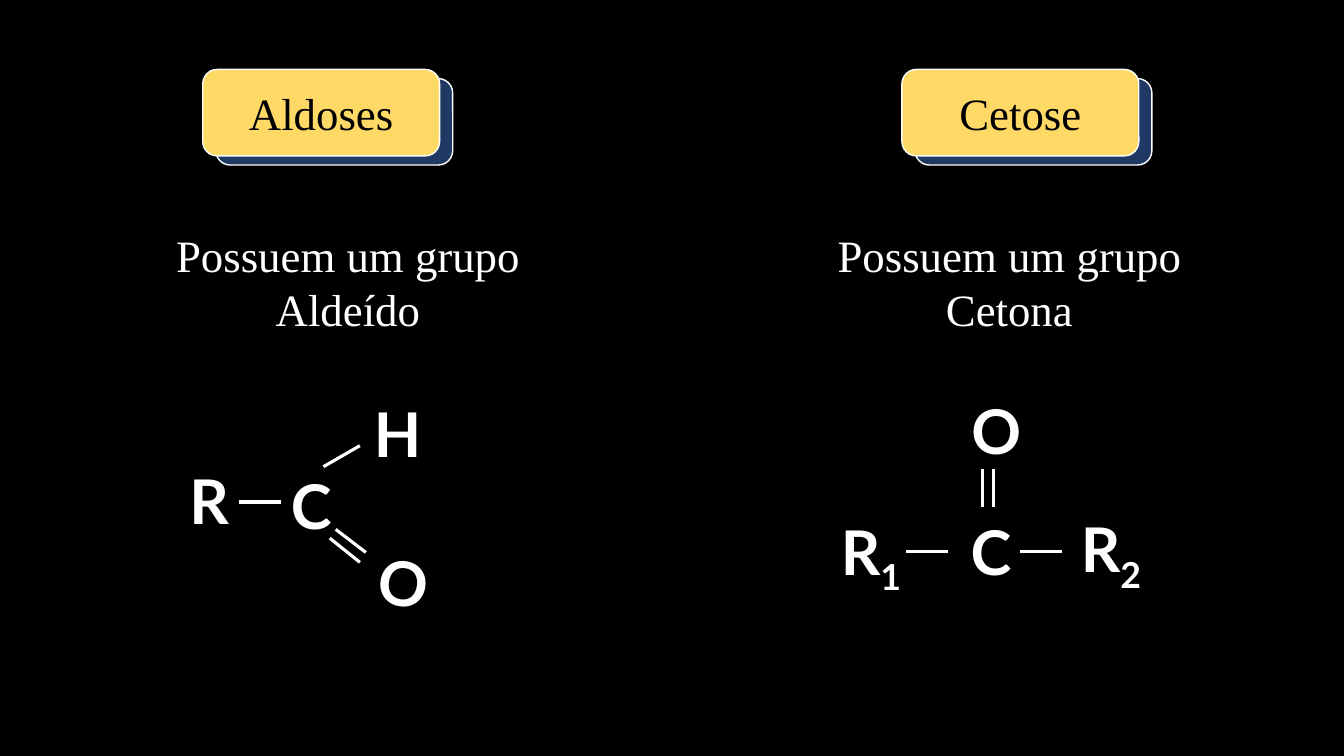
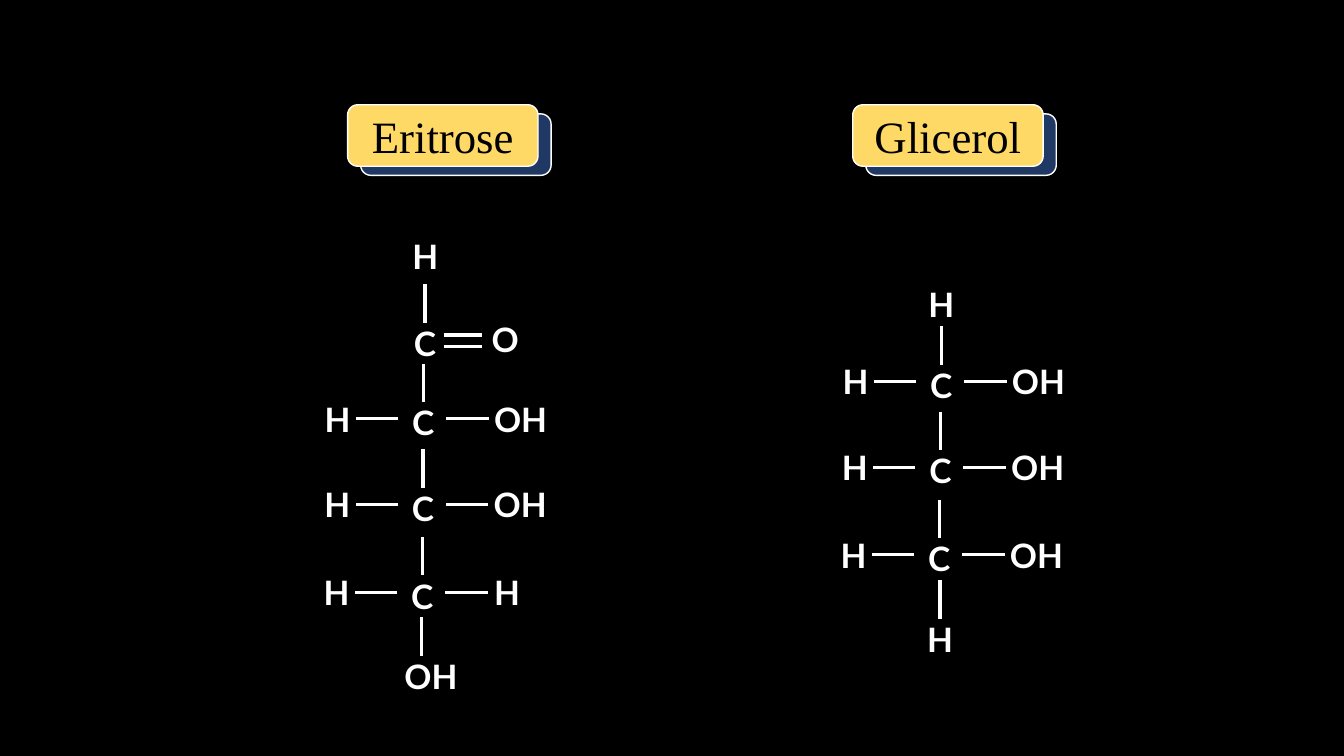
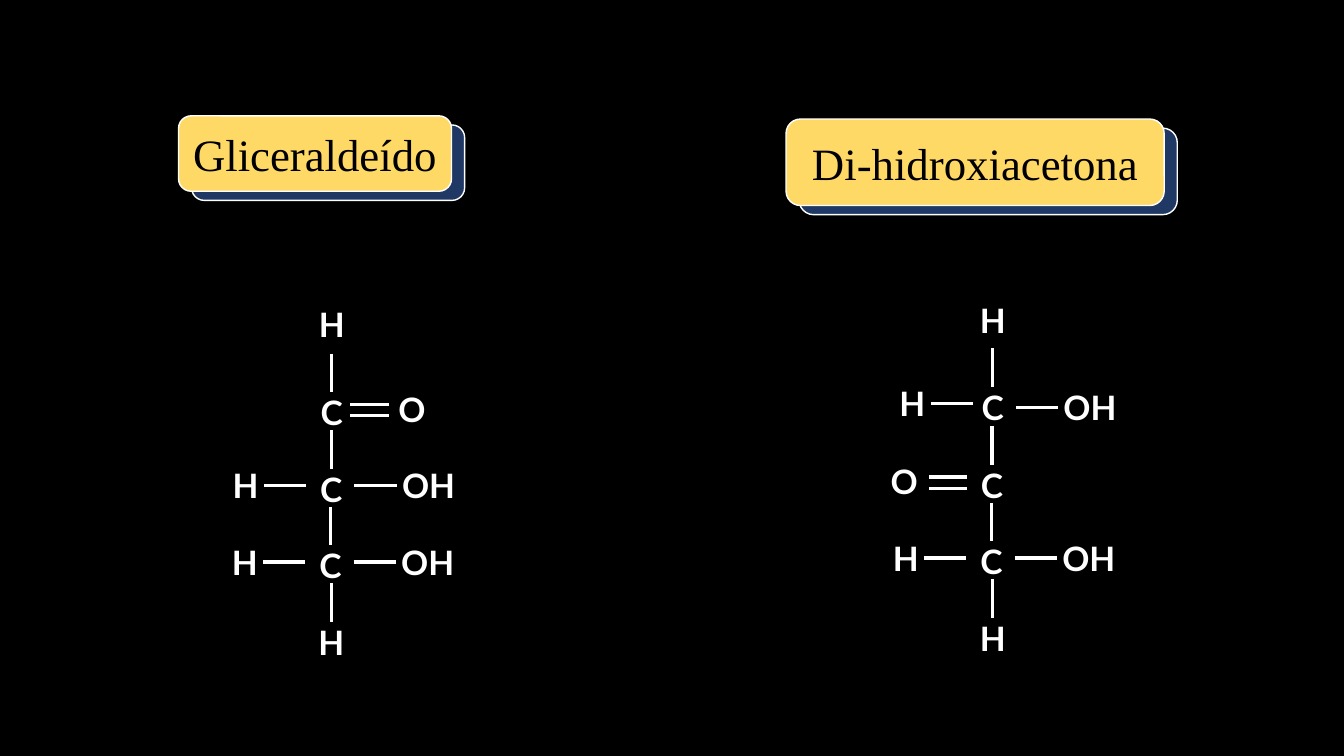
from dataclasses import dataclass

from lxml import etree
from pptx import Presentation
from pptx import util as u
from pptx.dml.color import RGBColor
from pptx.enum import shapes, text
from pptx.oxml.ns import qn

# Shared look
BLACK, WHITE, NAVY, YELLOW = "000000", "FFFFFF", "203864", "FFD966"
SERIF, SANS = "Times New Roman", "Lato"
HEADING_SIZE, LARGE, SMALL = 32, 44, 24
CARD_SHIFT = (0.33, 0.23)
COMPARISON_LAYOUT = 4
HEADING_SLOTS, DESCRIPTION_SLOTS = (0, 3), (2, 4)

# Structural formulas (cm, measured from the centre of the carbon)
BOND_LENGTH, BOND_GAP = 0.97, 0.51
ATOM_WIDTHS = {"C": 1.32, "O": 1.32, "H": 1.42, "OH": 1.9}
SIDE_LIFT = 0.09
OH_SHIFT = 0.24


@dataclass
class Card:
    label: str
    x: float
    y: float
    w: float
    h: float


@dataclass
class Atom:
    symbol: str
    x: float
    y: float
    w: float
    size: int = LARGE
    index: str = ""
    angle: float = 0


@dataclass
class Bond:
    x1: float
    y1: float
    x2: float
    y2: float


@dataclass
class Reach:
    near: float
    far: float
    atom: float


@dataclass
class Row:
    symbol: str
    x: float
    y: float
    left: str = ""
    right: str = ""
    left_shift: float = 0
    right_drop: float = 0


# Keys: side and number of strokes
REACHES = {
    ("left", 1): Reach(-0.64, -1.7, -2.16),
    ("left", 2): Reach(-0.64, -1.6, -2.21),
    ("right", 1): Reach(0.58, 1.65, 2.14),
    ("right", 2): Reach(0.47, 1.44, 2.02),
}
STROKE_OFFSETS = {1: (-SIDE_LIFT,), 2: (-0.2, 0.09)}


def color(value: str) -> RGBColor:
    return RGBColor.from_string(value)


def add_span(para, words: str, font: str, size: int, shade: str, bold: bool = False):
    span = para.add_run()
    span.text = words
    span.font.name, span.font.size, span.font.bold = font, u.Pt(size), bold
    span.font.color.rgb = color(shade)
    return span


def place(box, x: float, y: float, w: float, h: float) -> None:
    box.left, box.top, box.width, box.height = (u.Cm(v) for v in (x, y, w, h))


def fill_placeholder(box, words: str, shade: str, anchor) -> None:
    frame = box.text_frame
    frame.word_wrap = True
    frame.auto_size = text.MSO_AUTO_SIZE.NONE
    frame.vertical_anchor = anchor
    para = frame.paragraphs[0]
    props = para._p.get_or_add_pPr()
    props.set("marL", "0")
    props.set("indent", "0")
    etree.SubElement(props, qn("a:buNone"))
    para.alignment = text.PP_ALIGN.CENTER
    para.space_before = u.Pt(0)
    add_span(para, words, SERIF, HEADING_SIZE, shade)


def add_plate(page, x: float, y: float, w: float, h: float, shade: str):
    plate = page.shapes.add_shape(shapes.MSO_SHAPE.ROUNDED_RECTANGLE,
                                  u.Cm(x), u.Cm(y), u.Cm(w), u.Cm(h))
    plate.shadow.inherit = False
    plate.fill.solid()
    plate.fill.fore_color.rgb = color(shade)
    plate.line.color.rgb = color(WHITE)
    plate.line.width = u.Pt(1)
    return plate


def add_card(page, card: Card, slot: int) -> None:
    dx, dy = CARD_SHIFT
    add_plate(page, card.x + dx, card.y + dy, card.w, card.h, NAVY)
    front = add_plate(page, card.x, card.y, card.w, card.h, YELLOW)
    heading = page.placeholders[slot]
    place(heading, card.x, card.y, card.w, card.h)
    fill_placeholder(heading, card.label, BLACK, text.MSO_ANCHOR.MIDDLE)
    front._element.addnext(heading._element)


def add_atom(page, atom: Atom) -> None:
    h = 2.13 if atom.size == LARGE else 1.27
    box = page.shapes.add_textbox(u.Cm(atom.x - atom.w / 2), u.Cm(atom.y - h / 2),
                                  u.Cm(atom.w), u.Cm(h))
    box.rotation = atom.angle
    frame = box.text_frame
    frame.word_wrap = True
    frame.auto_size = text.MSO_AUTO_SIZE.SHAPE_TO_FIT_TEXT
    para = frame.paragraphs[0]
    para.alignment = text.PP_ALIGN.CENTER
    add_span(para, atom.symbol, SANS, atom.size, WHITE, bold=True)
    if atom.index:
        span = add_span(para, atom.index, SANS, atom.size, WHITE, bold=True)
        span.font._element.set("baseline", "-25000")


def add_bond(page, bond: Bond) -> None:
    line = page.shapes.add_connector(shapes.MSO_CONNECTOR.STRAIGHT,
                                     u.Cm(bond.x1), u.Cm(bond.y1),
                                     u.Cm(bond.x2), u.Cm(bond.y2))
    line.line.color.rgb = color(WHITE)
    line.line.width = u.Pt(2.25)
    etree.SubElement(line._element.spPr, qn("a:effectLst"))


def add_side(page, side: str, symbol: str, x: float, y: float) -> None:
    """Bond and atom beside a carbon; oxygen alone takes a double bond."""
    strokes = 2 if symbol == "O" else 1
    reach = REACHES[side, strokes]
    for dy in STROKE_OFFSETS[strokes]:
        add_bond(page, Bond(x + reach.near, y + dy, x + reach.far, y + dy))
    atom_x = x + reach.atom + (0.31 if symbol == "OH" else 0)
    add_atom(page, Atom(symbol, atom_x, y - SIDE_LIFT, ATOM_WIDTHS[symbol], SMALL))


def add_chain(page, rows: list[Row]) -> None:
    for position, row in enumerate(rows):
        if position:
            end = row.y - BOND_GAP
            add_bond(page, Bond(row.x, end - BOND_LENGTH, row.x, end))
        shift = OH_SHIFT if row.symbol == "OH" else 0
        add_atom(page, Atom(row.symbol, row.x + shift, row.y, ATOM_WIDTHS[row.symbol], SMALL))
        if row.left:
            add_side(page, "left", row.left, row.x + row.left_shift, row.y)
        if row.right:
            add_side(page, "right", row.right, row.x, row.y + row.right_drop)


def add_page(deck, cards: list[Card], descriptions: tuple[str, ...] = ()):
    page = deck.slides.add_slide(deck.slide_layouts[COMPARISON_LAYOUT])
    for card, slot in zip(cards, HEADING_SLOTS):
        add_card(page, card, slot)
    for words, slot, x in zip(descriptions, DESCRIPTION_SLOTS, (3.45, 20.12)):
        box = page.placeholders[slot]
        place(box, x, 5.61, 10.64, 3)
        fill_placeholder(box, words, WHITE, text.MSO_ANCHOR.TOP)
    for box in list(page.placeholders):
        if not box.text_frame.text:
            box._element.getparent().remove(box._element)
    return page


# Slide 1: functional groups
GROUP_CARDS = [Card("Aldoses", 5.11, 1.75, 5.97, 2.18),
               Card("Cetose", 22.73, 1.75, 5.97, 2.18)]
GROUP_TEXTS = ("Possuem um grupo Aldeído", "Possuem um grupo Cetona")
GROUP_ATOMS = [
    Atom("R", 5.27, 12.6, 1.5),
    Atom("C", 7.73, 12.73, 1.3),
    Atom("H", 9.92, 10.92, 1.5),
    Atom("O", 9.96, 14.63, 1.32, angle=8.7),
    Atom("R", 21.95, 13.89, 3.15, index="1"),
    Atom("C", 24.87, 13.89, 1.32),
    Atom("O", 24.89, 10.85, 1.32),
    Atom("R", 28, 13.82, 3.68, index="2"),
]
GROUP_BONDS = [
    Bond(6.02, 12.65, 7.09, 12.65),
    Bond(9.07, 11.23, 8.15, 11.76),
    Bond(8.46, 13.34, 9.22, 13.92),
    Bond(8.31, 13.56, 9.07, 14.17),
    Bond(22.83, 13.89, 23.9, 13.89),
    Bond(25.7, 13.89, 26.77, 13.89),
    Bond(24.77, 12.78, 24.77, 11.81),
    Bond(25.04, 12.78, 25.04, 11.81),
]

# Slides 2 and 3: cards and carbon chains
CHAIN_PAGES = [
    ([Card("Eritrose", 8.76, 2.64, 4.8, 1.55),
      Card("Glicerol", 21.49, 2.64, 4.8, 1.55)],
     [[Row("H", 10.72, 6.45),
       Row("C", 10.71, 8.64, right="O"),
       Row("C", 10.67, 10.64, "H", "OH"),
       Row("C", 10.66, 12.8, "H", "OH"),
       Row("C", 10.64, 15.01, "H", "H"),
       Row("OH", 10.62, 17.04)],
      [Row("H", 23.72, 7.67),
       Row("C", 23.72, 9.7, "H", "OH"),
       Row("C", 23.7, 11.86, "H", "OH"),
       Row("C", 23.67, 14.07, "H", "OH"),
       Row("H", 23.69, 16.1)]]),
    ([Card("Gliceraldeído", 4.5, 2.92, 6.88, 1.9),
      Card("Di-hidroxiacetona", 19.81, 3, 9.53, 2.18)],
     [[Row("H", 8.36, 8.18),
       Row("C", 8.36, 10.39, right="O"),
       Row("C", 8.35, 12.32, "H", "OH"),
       Row("C", 8.33, 14.25, "H", "OH"),
       Row("H", 8.35, 16.18)],
      [Row("H", 25.02, 8.08),
       Row("C", 25.02, 10.26, "H", "OH", left_shift=0.13, right_drop=0.09),
       Row("C", 25, 12.22, left="O"),
       Row("C", 24.99, 14.15, "H", "OH"),
       Row("H", 25.02, 16.08)]]),
]


def main() -> None:
    deck = Presentation()
    deck.slide_width, deck.slide_height = u.Cm(33.87), u.Cm(19.05)
    backdrop = deck.slide_master.background.fill
    backdrop.solid()
    backdrop.fore_color.rgb = color(BLACK)

    page = add_page(deck, GROUP_CARDS, GROUP_TEXTS)
    for bond in GROUP_BONDS:
        add_bond(page, bond)
    for atom in GROUP_ATOMS:
        add_atom(page, atom)

    for cards, chains in CHAIN_PAGES:
        page = add_page(deck, cards)
        for rows in chains:
            add_chain(page, rows)

    deck.save("out.pptx")


if __name__ == "__main__":
    main()
